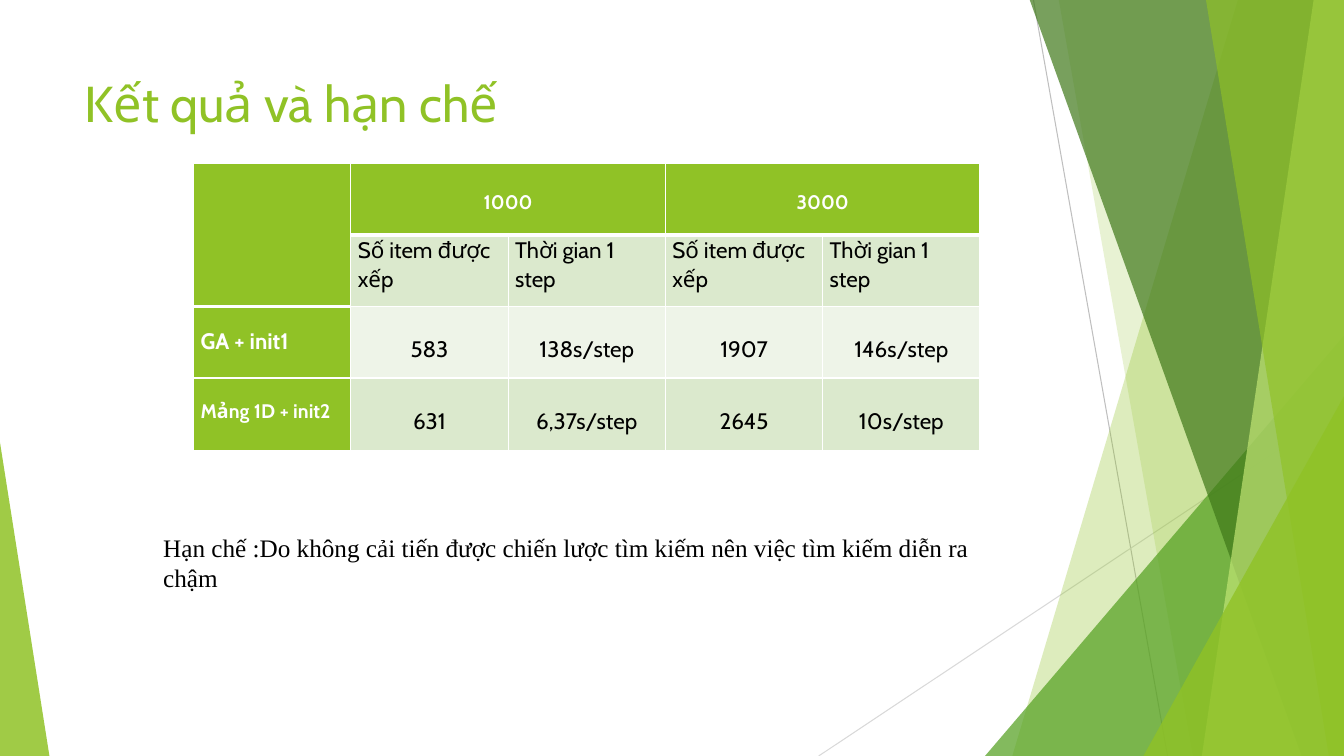
from lxml import etree
from pptx import Presentation
from pptx.dml.color import RGBColor
from pptx.enum.shapes import MSO_CONNECTOR, MSO_SHAPE
from pptx.enum.text import MSO_ANCHOR, PP_ALIGN
from pptx.oxml.ns import qn
from pptx.util import Inches, Pt

GREEN, WHITE, BLACK = "90C226", "FFFFFF", "000000"
BAND_DARK, BAND_LIGHT = "DBE9CD", "EEF4E8"


def paint(target, colour, alpha=100):
    """Give a fill or line format a solid colour, with opacity in percent."""
    target.solid()
    target.fore_color.rgb = RGBColor.from_string(colour)
    if alpha < 100:
        node = target._xPr.find(qn("a:solidFill"))[0]
        etree.SubElement(node, qn("a:alpha"), val=str(alpha * 1000))


def style_text(frame, size, colour, font="Cabin", bold=False):
    """Format every run of a text frame."""
    for para in frame.paragraphs:
        for run in para.runs:
            run.font.name, run.font.size, run.font.bold = font, Pt(size), bold
            paint(run.font.fill, colour)


deck = Presentation()
deck.slide_width, deck.slide_height = Inches(13.33), Inches(7.5)
page = deck.slides.add_slide(deck.slide_layouts[5])

# Thin lines behind the facets
for x1, y1, x2, y2, colour in [(10.25, 0, 11.58, 7.5, "BFBFBF"),
                               (13.33, 4.03, 8.12, 7.5, "D9D9D9")]:
    line = page.shapes.add_connector(
        MSO_CONNECTOR.STRAIGHT, Inches(x1), Inches(y1), Inches(x2), Inches(y2))
    line.line.width = Pt(0.75)
    paint(line.line.fill, colour)
    etree.SubElement(line._element.spPr, qn("a:effectLst"))

# Facets: a band gives its top and bottom x and runs to the right edge;
# a triangle gives left, top, width, height and the apex position
facets = [
    ("band", (12.28, 10.04), GREEN, 30),
    ("band", (10.5, 11.83), GREEN, 20),
    ("triangle", (9.77, 3.33, 3.56, 4.17, 1), "54A021", 72),
    ("band", (10.21, 12.91), "3F7819", 70),
    ("band", (13.03, 11.92), "C0E474", 70),
    ("band", (11.96, 13.18), GREEN, 65),
    ("triangle", (11.34, 3.93, 1.99, 3.57, 1), GREEN, 80),
    ("triangle", (0, 4.39, 0.49, 3.11, 0), GREEN, 85),
]
for kind, geometry, colour, alpha in facets:
    if kind == "band":
        top_x, bottom_x = geometry
        outline = page.shapes.build_freeform(Inches(top_x), Inches(-0.01))
        outline.add_line_segments(
            [(Inches(x), Inches(y)) for x, y in
             [(13.33, -0.01), (13.33, 7.5), (bottom_x, 7.5)]])
        facet = outline.convert_to_shape()
    else:
        *bounds, apex = geometry
        facet = page.shapes.add_shape(
            MSO_SHAPE.ISOSCELES_TRIANGLE, *[Inches(v) for v in bounds])
        facet.adjustments[0] = apex
    paint(facet.fill, colour, alpha)
    facet.line.fill.background()
    facet.shadow.inherit = False

title = page.shapes.title
title.left, title.top = Inches(0.74), Inches(0.67)
title.width, title.height = Inches(9.4), Inches(1.44)
title.text_frame.text = "Kết quả và hạn chế"
title.text_frame.vertical_anchor = MSO_ANCHOR.TOP
title.text_frame.paragraphs[0].alignment = PP_ALIGN.LEFT
style_text(title.text_frame, 36, GREEN)

# Results table
rows = [
    ["", "1000", "", "3000", ""],
    [""] + ["Số item được xếp", "Thời gian 1 step"] * 2,
    ["GA + init1", "583", "138s/step", "1907", "146s/step"],
    ["Mảng 1D + init2", "631", "6,37s/step", "2645", "10s/step"],
]
table = page.shapes.add_table(
    4, 5, Inches(1.92), Inches(1.62), Inches(7.8), Inches(2.86)).table
for column in table.columns:
    column.width = Inches(1.56)
for row, height in zip(table.rows, [0.71, 0.71, 0.71, 0.72]):
    row.height = Inches(height)

for r, row in enumerate(rows):
    for c, text in enumerate(row):
        cell = table.cell(r, c)
        header = r == 0 or c == 0
        thick_top = (r == 1 and c > 0) or (r == 2 and c == 0)
        thick_bottom = (r == 0 and c > 0) or (r < 2 and c == 0)
        for side, width in [("L", 1), ("R", 1), ("T", 3 if thick_top else 1),
                            ("B", 3 if thick_bottom else 1)]:
            border = etree.SubElement(cell._tc.get_or_add_tcPr(),
                                      qn("a:ln" + side), w=str(Pt(width)))
            fill = etree.SubElement(border, qn("a:solidFill"))
            etree.SubElement(fill, qn("a:srgbClr"), val=WHITE)
        paint(cell.fill,
              GREEN if header else BAND_LIGHT if r == 2 else BAND_DARK)

        cell.text_frame.text = text
        cell.margin_left = cell.margin_right = Inches(0.07)
        if r == 1:
            top = 0
        elif r == 0:
            top = 0.25
        else:
            top = 0.2 if c == 0 else 0.28
        cell.margin_top, cell.margin_bottom = Inches(top), 0
        para = cell.text_frame.paragraphs[0]
        para.line_spacing = 1.07
        if r != 1 and c > 0:
            para.alignment = PP_ALIGN.CENTER
        small = r == 0 or (r == 3 and c == 0)
        style_text(cell.text_frame, 14 if small else 16,
                   WHITE if header else BLACK, bold=header)

for first, last in [((0, 0), (1, 0)), ((0, 1), (0, 2)), ((0, 3), (0, 4))]:
    table.cell(*first).merge(table.cell(*last))

limitation = page.shapes.add_textbox(
    Inches(1.52), Inches(5.23), Inches(8.42), Inches(0.71)).text_frame
limitation.word_wrap = True
limitation.text = ("Hạn chế :Do không cải tiến được chiến lược tìm kiếm "
                   "nên việc tìm kiếm diễn ra chậm")
style_text(limitation, 18, BLACK, "Times New Roman")

deck.save("out.pptx")
